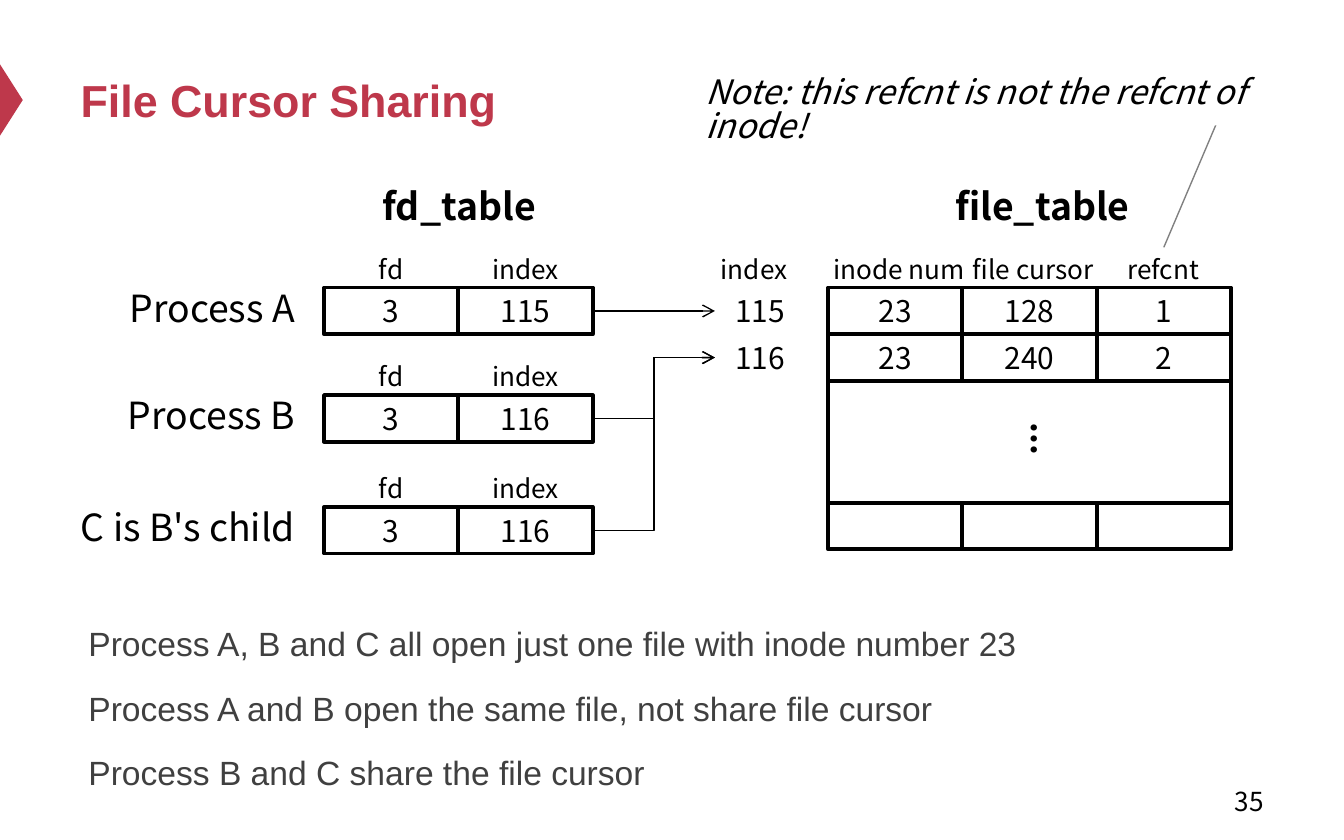
from pptx import Presentation
from pptx.dml.color import RGBColor
from pptx.enum.shapes import MSO_CONNECTOR, MSO_SHAPE
from pptx.enum.text import MSO_ANCHOR, PP_ALIGN
from pptx.oxml.ns import qn
from pptx.util import Pt
from lxml import etree

LEFT, CENTER, RIGHT = PP_ALIGN.LEFT, PP_ALIGN.CENTER, PP_ALIGN.RIGHT
TOP, MIDDLE = MSO_ANCHOR.TOP, MSO_ANCHOR.MIDDLE
RECTANGLE, TRIANGLE = MSO_SHAPE.RECTANGLE, MSO_SHAPE.ISOSCELES_TRIANGLE
STRAIGHT, ELBOW = MSO_CONNECTOR.STRAIGHT, MSO_CONNECTOR.ELBOW
SANS, DIAGRAM = "Arial", "Noto Sans CJK SC"
RED, BLACK, DARK, GRAY, WHITE = "BE384B", "000000", "404040", "808080", "FFFFFF"
LEFT_SITE, RIGHT_SITE = 1, 3

TITLE = "File Cursor Sharing"
NOTE = "Note: this refcnt is not the refcnt of inode!"
PAGE = "35"
POINTS = [
    "Process A, B and C all open just one file with inode number 23",
    "Process A and B open the same file, not share file cursor",
    "Process B and C share the file cursor",
]
PROCESSES = [
    ("Process A", "3", "115", 154.1),
    ("Process B", "3", "116", 211.7),
    ("C is B's child", "3", "116", 271.6),
]
FD_HEADERS = ["fd", "index"]
FILE_HEADERS = [("index", 404), ("inode num", 481.7), ("file cursor", 553.7), ("refcnt", 623.2)]
FILES = [("115", ["23", "128", "1"]), ("116", ["23", "240", "2"])]

CELL_W, CELL_H = 72, 25
FD_LEFT, FILE_LEFT, FILE_TOP, LAST_TOP = 173.6, 443.6, 154.1, 269.3
FILE_RIGHT = FILE_LEFT + 3 * CELL_W
INDEX_LEFT, INDEX_W = 383, 48.4


def color(value):
    return RGBColor.from_string(value)


def write(shape, text, size=16, font=DIAGRAM, ink=BLACK, align=CENTER, anchor=TOP,
          bold=False, italic=False, before=0, spacing=None):
    frame = shape.text_frame
    frame.word_wrap = True
    frame.vertical_anchor = anchor
    lines = [text] if isinstance(text, str) else text
    for number, line in enumerate(lines):
        paragraph = frame.add_paragraph() if number else frame.paragraphs[0]
        paragraph.alignment = align
        paragraph.space_before = Pt(before if number else 0)
        if spacing:
            paragraph.line_spacing = spacing
        run = paragraph.add_run()
        run.text = line
        run.font.size, run.font.name = Pt(size), font
        run.font.bold, run.font.italic = bold, italic
        run.font.color.rgb = color(ink)
    return shape


def label(text, left, top, width, height, **style):
    box = slide.shapes.add_textbox(Pt(left), Pt(top), Pt(width), Pt(height))
    return write(box, text, **style)


def header(text, middle, top):
    label(text, middle - 50, top - 22, 100, 24.2, size=14)


def block(kind, left, top, width, height, fill=None, border=None):
    shape = slide.shapes.add_shape(kind, Pt(left), Pt(top), Pt(width), Pt(height))
    shape.shadow.inherit = False
    if fill:
        shape.fill.solid()
        shape.fill.fore_color.rgb = color(fill)
    else:
        shape.fill.background()
    if border:
        shape.line.color.rgb = color(border)
        shape.line.width = Pt(2)
    else:
        shape.line.fill.background()
    return shape


def cell(text, left, top, width=CELL_W, border=BLACK):
    shape = block(RECTANGLE, left, top, width, CELL_H, border=border)
    return write(shape, text, anchor=MIDDLE) if text else shape


def connect(kind, x1, y1, x2, y2, ink=BLACK, weight=0.75):
    line = slide.shapes.add_connector(kind, Pt(x1), Pt(y1), Pt(x2), Pt(y2))
    line.line.color.rgb = color(ink)
    line.line.width = Pt(weight)
    etree.SubElement(line._element.spPr, qn("a:effectLst"))
    return line


prs = Presentation()
prs.slide_width, prs.slide_height = Pt(720), Pt(450)
slide = prs.slides.add_slide(prs.slide_layouts[5])

title = slide.shapes.title
title.left, title.top, title.width, title.height = Pt(36), Pt(18), Pt(648), Pt(70.6)
write(title, TITLE, size=24, font=SANS, ink=RED, align=LEFT, anchor=MIDDLE, bold=True)
block(TRIANGLE, -13, 47.5, 38.2, 12.2, fill=RED).rotation = 90
label(PAGE, 516, 417, 168, 24, size=14, align=RIGHT, anchor=MIDDLE)
label(POINTS, 40.3, 329, 654, 93, size=18, font=SANS, ink=DARK, align=LEFT,
      before=12, spacing=1.05)

for name, middle in [("fd_table", 246), ("file_table", 558.5)]:
    label(name, middle - 96, 94.6, 192, 31.7, size=20, bold=True)

index_cells = {}
for row, (index, values) in enumerate(FILES):
    top = FILE_TOP + row * CELL_H
    index_cells[index] = cell(index, INDEX_LEFT, top, width=INDEX_W, border=None)
    for column, value in enumerate(values):
        cell(value, FILE_LEFT + column * CELL_W, top)
for column in range(3):
    cell("", FILE_LEFT + column * CELL_W, LAST_TOP)
for side in (FILE_LEFT, FILE_RIGHT):
    connect(STRAIGHT, side, FILE_TOP + len(FILES) * CELL_H, side, LAST_TOP, weight=2)
for text, middle in FILE_HEADERS:
    header(text, middle, FILE_TOP)
label("...", 542.2, 222.5, 35.3, 28.8, size=18, bold=True, align=LEFT).rotation = 90

for name, fd, index, top in PROCESSES:
    label(name, 20, top - 4.9, 145.2, 31.7, size=20, align=RIGHT)
    for column, text in enumerate(FD_HEADERS):
        header(text, FD_LEFT + (column + 0.5) * CELL_W, top)
    cell(fd, FD_LEFT, top)
    source = cell(index, FD_LEFT + CELL_W, top)
    arrow = connect(ELBOW, FD_LEFT + 2 * CELL_W, top, INDEX_LEFT, top)
    arrow.begin_connect(source, RIGHT_SITE)
    arrow.end_connect(index_cells[index], LEFT_SITE)
    etree.SubElement(arrow.line._get_or_add_ln(), qn("a:tailEnd"), type="arrow")

connect(STRAIGHT, 653.8, 61.2, 623.5, 132.5, ink=GRAY)
note = block(RECTANGLE, 371, 38.2, 340, 29, fill=WHITE)
write(note, NOTE, size=18, align=LEFT, italic=True, spacing=0.83)

prs.save("out.pptx")
